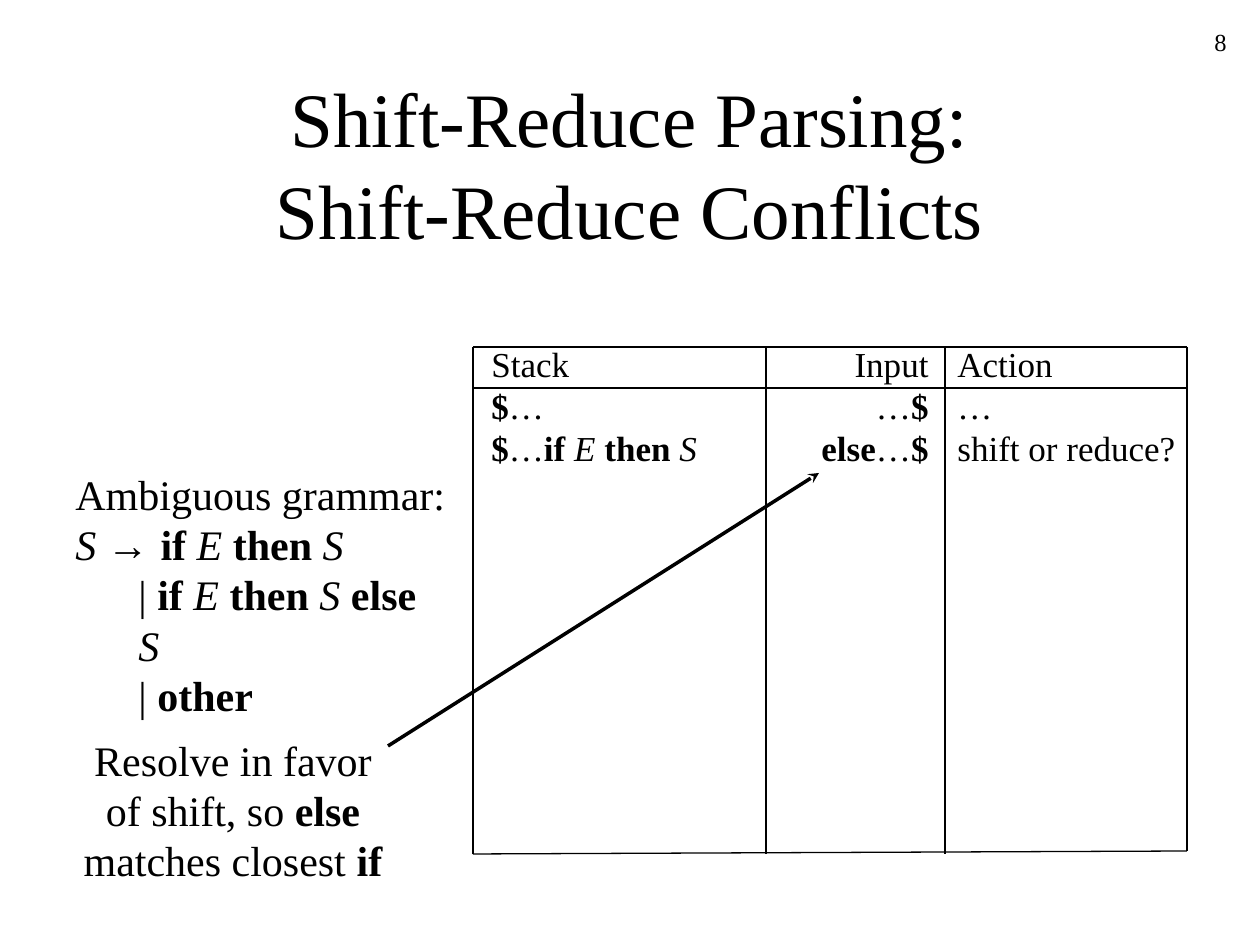
"""Build the slide on shift-reduce conflicts in shift-reduce parsing."""
from lxml.etree import SubElement
from pptx import Presentation
from pptx.dml.color import RGBColor
from pptx.enum.shapes import MSO_CONNECTOR as Connector
from pptx.enum.text import MSO_ANCHOR as Anchor, MSO_AUTO_SIZE as AutoSize, PP_ALIGN as Align
from pptx.oxml.ns import qn
from pptx.util import Pt

BLACK = RGBColor(0, 0, 0)
FONT = "Times New Roman"
SYMBOL_FONT = "Arial"
EMU_PER_PX = 914400 / 126
BAR_INDENT = 63

TITLE = "Shift-Reduce Parsing:\vShift-Reduce Conflicts"
IF_THEN = [("if ", "b"), ("E ", "i"), ("then ", "b")]
S = ("S", "i")
BAR = ("| ", "")

STACK = [
    [("Stack", "")],
    [("$", "b"), ("…", "")],
    [("$", "b"), ("…", ""), *IF_THEN, S],
]
INPUT = [
    [("Input", "")],
    [("…", ""), ("$", "b")],
    [("else", "b"), ("…", ""), ("$", "b")],
]
ACTION = [[("Action", "")], [("…", "")], [("shift or reduce?", "")]]
GRAMMAR = [
    [("Ambiguous grammar:", "")],
    [("S ", "i"), ("→ ", "symbol"), *IF_THEN, S],
    [BAR, *IF_THEN, ("S ", "i"), ("else ", "b"), S],
    [BAR, ("other", "b")],
]
RESOLUTION = [
    [("Resolve in favor", "")],
    [("of shift, so ", ""), ("else", "b")],
    [("matches closest ", ""), ("if", "b")],
]
PAGE_NUMBER = [[("8", "")]]

TEXTS = [
    (STACK, (479, 336, 231, 139), 20, Align.LEFT),
    (INPUT, (809, 336, 132, 139), 20, Align.RIGHT),
    (ACTION, (945, 336, 243, 139), 20, Align.LEFT),
    (GRAMMAR, (63, 462, 397, 214), 24, Align.LEFT),
    (RESOLUTION, (71, 728, 324, 164), 24, Align.CENTER),
    (PAGE_NUMBER, (977, 21, 262, 63), 14, Align.RIGHT),
]

LEFT, RIGHT, TOP, HEADER, BOTTOM, RIGHT_BOTTOM = 473, 1187, 347, 388, 854, 851
COLUMN_EDGES = [LEFT, 766, 945]
GRID = [(x, TOP, x, BOTTOM) for x in COLUMN_EDGES]
GRID += [(LEFT, y, RIGHT, y) for y in (TOP, HEADER)]
GRID += [(RIGHT, TOP, RIGHT, RIGHT_BOTTOM), (LEFT, BOTTOM, RIGHT, RIGHT_BOTTOM)]
ARROW = (388, 746, 819, 473)


def px(*lengths):
    return [round(length * EMU_PER_PX) for length in lengths]


def style_font(font, size, style=""):
    font.name = SYMBOL_FONT if style == "symbol" else FONT
    font.size = Pt(size)
    font.bold = style == "b"
    font.italic = style == "i"
    font.color.rgb = BLACK


def add_title(slide):
    title = slide.shapes.title
    title.left, title.top, title.width, title.height = px(94, 84, 1071, 158)
    frame = title.text_frame
    frame.text = TITLE
    frame.auto_size = AutoSize.NONE
    frame.vertical_anchor = Anchor.MIDDLE
    paragraph = frame.paragraphs[0]
    paragraph.alignment = Align.CENTER
    style_font(paragraph.font, 44)
    for run in paragraph.runs:
        style_font(run.font, 44)


def add_text(slide, lines, box, size, alignment):
    frame = slide.shapes.add_textbox(*px(*box)).text_frame
    frame.word_wrap = lines is PAGE_NUMBER
    frame.auto_size = AutoSize.NONE if frame.word_wrap else AutoSize.SHAPE_TO_FIT_TEXT
    for index, line in enumerate(lines):
        paragraph = frame.add_paragraph() if index else frame.paragraphs[0]
        paragraph.alignment = alignment
        if line[0] is BAR:
            paragraph._p.get_or_add_pPr().set("marL", str(px(BAR_INDENT)[0]))
        for text, style in line:
            run = paragraph.add_run()
            run.text = text
            style_font(run.font, size, style)


def add_line(slide, ends, width):
    connector = slide.shapes.add_connector(Connector.STRAIGHT, *px(*ends))
    connector.line.color.rgb = BLACK
    connector.line.width = Pt(width)
    SubElement(connector._element.spPr, qn("a:effectLst"))
    return connector


def main():
    presentation = Presentation()
    presentation.slide_width, presentation.slide_height = px(1260, 945)
    slide = presentation.slides.add_slide(presentation.slide_layouts[5])
    add_title(slide)
    for text in TEXTS:
        add_text(slide, *text)
    for ends in GRID:
        add_line(slide, ends, 0.75)
    arrow = add_line(slide, ARROW, 2)
    SubElement(arrow.line._get_or_add_ln(), qn("a:tailEnd"), type="stealth")
    presentation.save("out.pptx")


if __name__ == "__main__":
    main()
